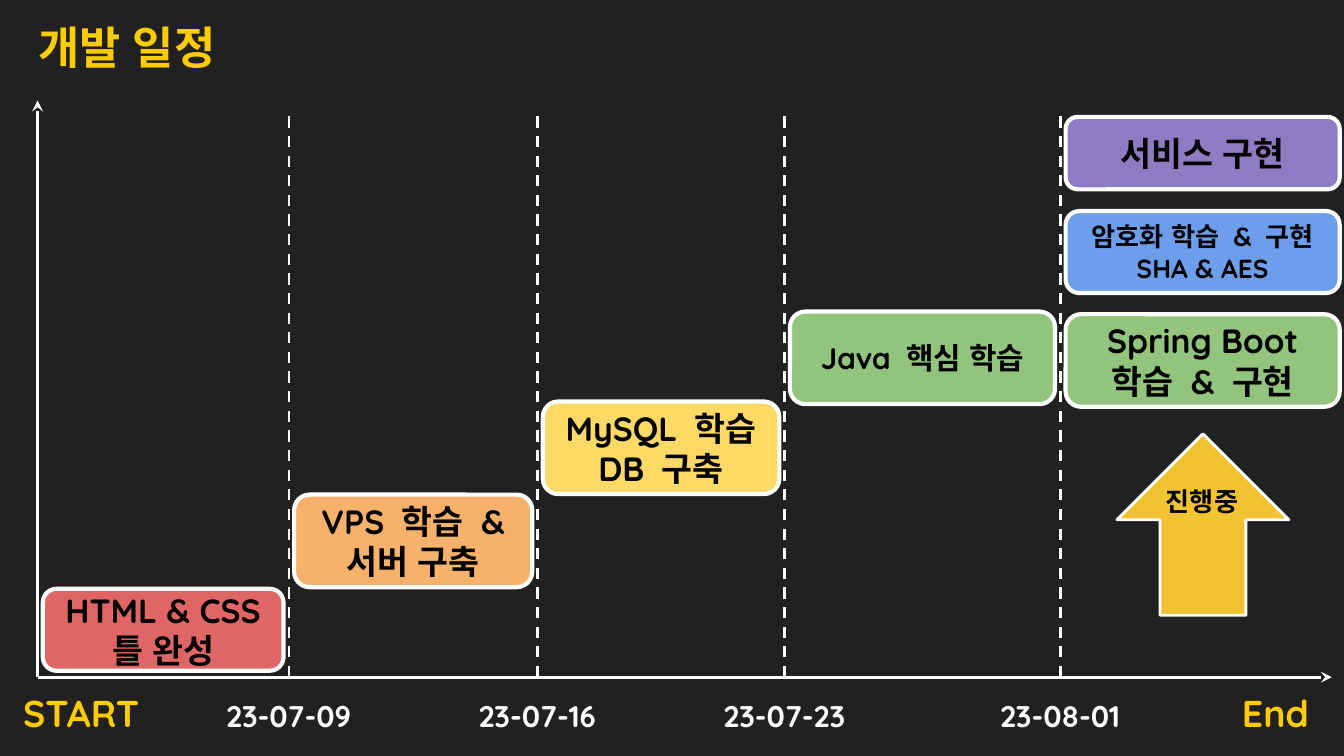
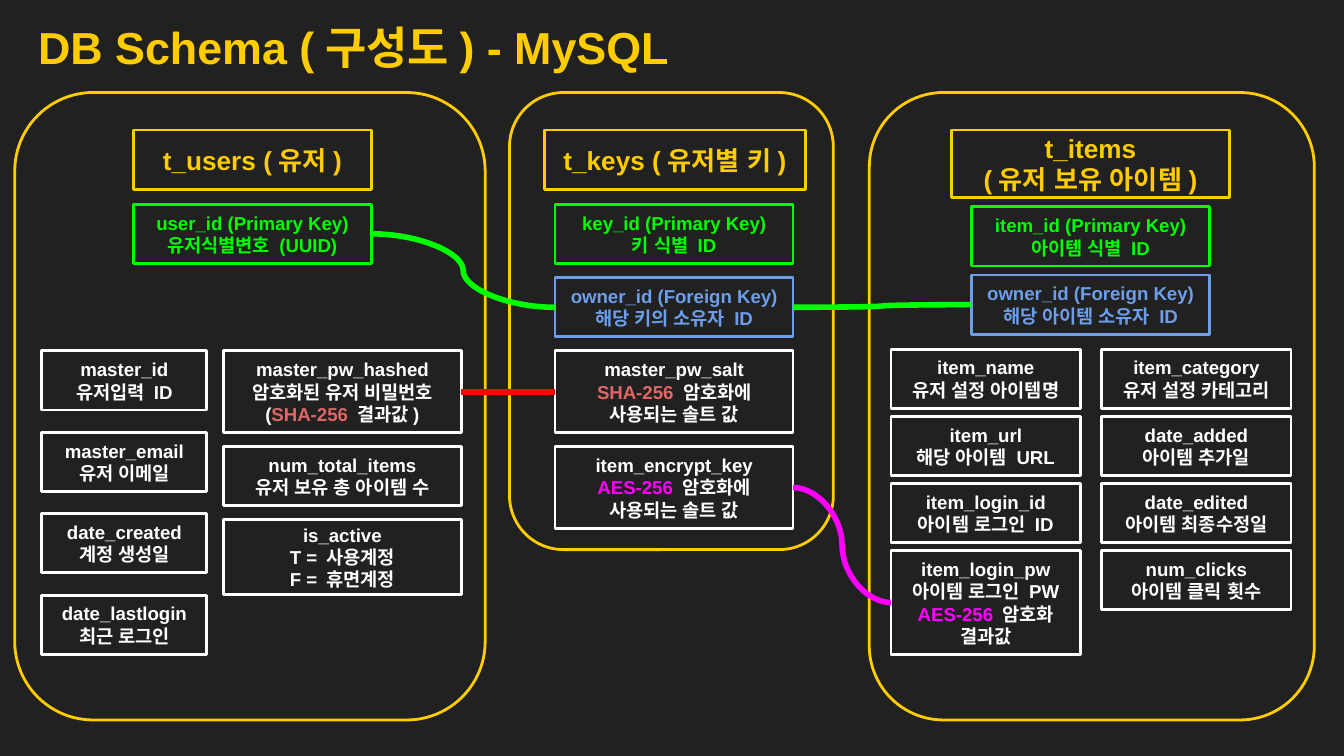
from dataclasses import dataclass

from lxml import etree
from pptx import Presentation
from pptx.dml.color import RGBColor
from pptx.enum.dml import MSO_LINE
from pptx.enum.shapes import MSO_CONNECTOR, MSO_SHAPE
from pptx.enum.text import MSO_ANCHOR, PP_ALIGN
from pptx.oxml.ns import qn
from pptx.util import Cm, Pt

RECTANGLE, ROUNDED = MSO_SHAPE.RECTANGLE, MSO_SHAPE.ROUNDED_RECTANGLE
UP_ARROW = MSO_SHAPE.UP_ARROW
STRAIGHT, CURVE = MSO_CONNECTOR.STRAIGHT, MSO_CONNECTOR.CURVE
DASH = MSO_LINE.DASH
TOP, MIDDLE = MSO_ANCHOR.TOP, MSO_ANCHOR.MIDDLE
LEFT, CENTER = PP_ALIGN.LEFT, PP_ALIGN.CENTER
LEFT_SIDE, RIGHT_SIDE = 1, 3


@dataclass(frozen=True)
class Theme:
    background: str = "212121"
    accent: str = "FFCC00"
    white: str = "FFFFFF"
    black: str = "000000"
    red: str = "E06666"
    orange: str = "F6B26B"
    yellow: str = "FFD966"
    gold: str = "F1C232"
    green: str = "93C47D"
    blue: str = "6D9EEB"
    purple: str = "8E7CC3"
    primary_key: str = "00FF00"
    hash_link: str = "FF0000"
    cipher: str = "FF00FF"
    body_font: str = "Arial"
    schedule_font: str = "Quicksand"
    title_size: float = 24
    end_size: float = 20
    large_size: float = 18
    date_size: float = 16
    medium_size: float = 14
    field_size: float = 10
    thin: float = 1.5
    medium: float = 2.25
    thick: float = 3


THEME = Theme()


@dataclass(frozen=True)
class Box:
    """A rectangle on the slide, in centimetres."""
    left: float
    top: float
    width: float
    height: float

    def inside(self, left, top, width, height):
        """Return a box whose position is measured from this one's corner."""
        return Box(self.left + left, self.top + top, width, height)

    def lengths(self):
        return Cm(self.left), Cm(self.top), Cm(self.width), Cm(self.height)


@dataclass(frozen=True)
class Column:
    """Fields stacked downwards with equal gaps; each is (height, colour, lines)."""
    left: float
    width: float
    top: float
    gap: float
    fields: list


SLIDE = Box(0, 0, 25.4, 14.29)
TITLE = SLIDE.inside(0, 0, 25.4, 1.75)
TIMELINE = SLIDE.inside(0.71, 1.9, 24.46, 10.9)
FIELD_HEIGHT = 1.12

# Timeline column, top, height, fill, text size, lines
TASKS = [
    (0, 9.23, 1.55, THEME.red, THEME.large_size, ["HTML & CSS", "틀 완성"]),
    (1, 7.45, 1.75, THEME.orange, THEME.large_size, ["VPS 학습 & 서버 구축"]),
    (2, 5.69, 1.75, THEME.yellow, THEME.large_size, ["MySQL 학습", "DB 구축"]),
    (3, 3.99, 1.75, THEME.green, THEME.date_size, ["Java 핵심 학습"]),
    (4, 4.04, 1.75, THEME.green, THEME.large_size, ["Spring Boot 학습 & 구현"]),
    (4, 2.09, 1.55, THEME.blue, THEME.medium_size, ["암호화 학습 & 구현", "SHA & AES"]),
    (4, 0.31, 1.37, THEME.purple, THEME.large_size, ["서비스 구현"]),
]
COLUMN_EDGES = [0, 4.75, 9.45, 14.12, 19.33, 24.71]
DATES = ["23-07-09", "23-07-16", "23-07-23", "23-08-01"]


def rgb(colour):
    return RGBColor.from_string(colour)


def write_text(shape, lines, *, size, colour, font=THEME.body_font,
               align=CENTER, anchor=MIDDLE, indent=0):
    """Fill a shape; a line is a string or a list of (text, colour) runs."""
    frame = shape.text_frame
    frame.word_wrap = True
    frame.vertical_anchor = anchor
    frame.margin_top = frame.margin_right = frame.margin_bottom = Cm(0.25)
    frame.margin_left = Cm(0.25 + indent)
    for index, line in enumerate(lines):
        paragraph = frame.paragraphs[0] if index == 0 else frame.add_paragraph()
        paragraph.alignment = align
        for text, run_colour in [(line, colour)] if isinstance(line, str) else line:
            run = paragraph.add_run()
            run.text = text
            run.font.size = Pt(size)
            run.font.bold = True
            run.font.name = font
            run.font.color.rgb = rgb(run_colour)
            properties = run.font.language_id and None
            properties = run._r.get_or_add_rPr()
            etree.SubElement(properties, qn("a:ea")).set("typeface", font)


def add_label(slide, box, lines, **text_format):
    write_text(slide.shapes.add_textbox(*box.lengths()), lines, **text_format)


def add_block(slide, kind, box, *, outline, width=THEME.thin, fill=None):
    shape = slide.shapes.add_shape(kind, *box.lengths())
    shape.shadow.inherit = False
    if fill:
        shape.fill.solid()
        shape.fill.fore_color.rgb = rgb(fill)
    else:
        shape.fill.background()
    shape.line.color.rgb = rgb(outline)
    shape.line.width = Pt(width)
    return shape


def add_line(slide, start, end, *, kind=STRAIGHT, colour=THEME.white,
             width=THEME.thin, dash=None, arrow=False):
    connector = slide.shapes.add_connector(kind, *(Cm(value) for value in (*start, *end)))
    etree.SubElement(connector._element.spPr, qn("a:effectLst"))
    connector.line.color.rgb = rgb(colour)
    connector.line.width = Pt(width)
    if dash:
        connector.line.dash_style = dash
    if arrow:
        outline = connector.line._get_or_add_ln()
        etree.SubElement(outline, qn("a:tailEnd")).set("type", "stealth")
    return connector


def add_titled_slide(presentation, title):
    slide = presentation.slides.add_slide(presentation.slide_layouts[6])
    slide.background.fill.solid()
    slide.background.fill.fore_color.rgb = rgb(THEME.background)
    add_label(slide, TITLE, [title], size=THEME.title_size, colour=THEME.accent,
              align=LEFT, indent=0.47)
    return slide


def draw_axes(slide, box):
    bottom = box.top + box.height
    origin = (box.left, bottom)
    add_line(slide, origin, (box.left, box.top), arrow=True)
    add_line(slide, origin, (box.left + box.width, bottom), arrow=True)
    for edge, date in zip(COLUMN_EDGES[1:], DATES):
        x = box.left + edge
        add_line(slide, (x, box.top + 0.3), (x, bottom), dash=DASH)
        add_label(slide, box.inside(edge - 1.63, box.height + 0.13, 3.25, 1.19), [date],
                  size=THEME.date_size, colour=THEME.white,
                  font=THEME.schedule_font, anchor=TOP)
    for text, left, width in [("START", -0.71, 3.07), ("End", 22.1, 2.59)]:
        add_label(slide, box.inside(left, box.height, width, 1.37), [text],
                  size=THEME.end_size, colour=THEME.accent,
                  font=THEME.schedule_font, anchor=TOP)


def draw_tasks(slide, box, gap=0.1):
    for column, top, height, fill, size, lines in TASKS:
        left, right = COLUMN_EDGES[column:column + 2]
        task = add_block(slide, ROUNDED,
                         box.inside(left + gap, top, right - left - 2 * gap, height),
                         outline=THEME.white, width=THEME.medium, fill=fill)
        write_text(task, lines, size=size, colour=THEME.black, font=THEME.schedule_font)


def draw_progress_arrow(slide, box):
    add_block(slide, UP_ARROW, box, outline=THEME.white, fill=THEME.gold)
    add_label(slide, box.inside(0.58, 0.84, 2.06, 0.86), ["진행중"],
              size=THEME.medium_size, colour=THEME.black)


def build_schedule(presentation):
    slide = add_titled_slide(presentation, "개발 일정")
    draw_axes(slide, TIMELINE)
    draw_tasks(slide, TIMELINE)
    draw_progress_arrow(slide, TIMELINE.inside(20.4, 6.3, 3.25, 3.43))


def plain(*lines, height=FIELD_HEIGHT):
    return height, THEME.white, lines


def primary(*lines):
    return FIELD_HEIGHT, THEME.primary_key, lines


def foreign(*lines):
    return FIELD_HEIGHT, THEME.blue, lines


def draw_table_panel(slide, box, heading, heading_box, columns):
    """Draw one database table and return its field shapes by field name."""
    add_block(slide, ROUNDED, box, outline=THEME.accent)
    header = add_block(slide, RECTANGLE, box.inside(*heading_box), outline=THEME.accent)
    write_text(header, heading, size=THEME.medium_size, colour=THEME.accent)
    shapes = {}
    for column in columns:
        top = column.top
        for height, colour, lines in column.fields:
            field = add_block(slide, RECTANGLE,
                              box.inside(column.left, top, column.width, height),
                              outline=colour)
            write_text(field, lines, size=THEME.field_size, colour=colour)
            shapes[lines[0]] = field
            top += height + column.gap
    return shapes


def draw_users(slide, box):
    hashed = [("(", THEME.white), ("SHA-256", THEME.red), (" 결과값)", THEME.white)]
    return draw_table_panel(slide, box, ["t_users (유저)"], (2.24, 0.71, 4.5, 1.12), [
        Column(2.24, 4.5, 2.11, 0, [primary("user_id (Primary Key)", "유저식별변호 (UUID)")]),
        Column(0.51, 3.12, 4.88, 0.42, [
            plain("master_id", "유저입력 ID"),
            plain("master_email", "유저 이메일"),
            plain("date_created", "계정 생성일"),
            plain("date_lastlogin", "최근 로그인"),
        ]),
        Column(3.94, 4.5, 4.88, 0.26, [
            plain("master_pw_hashed", "암호화된 유저 비밀번호", hashed, height=1.55),
            plain("num_total_items", "유저 보유 총 아이템 수"),
            plain("is_active", "T = 사용계정", "F = 휴면계정", height=1.42),
        ]),
    ])


def draw_keys(slide, box):
    usage = (" 암호화에 사용되는 솔트 값", THEME.white)
    return draw_table_panel(slide, box, ["t_keys (유저별 키)"], (0.66, 0.71, 4.93, 1.12), [
        Column(0.86, 4.5, 2.12, 0.26, [
            primary("key_id (Primary Key)", "키 식별 ID"),
            foreign("owner_id (Foreign Key)", "해당 키의 소유자 ID"),
            plain("master_pw_salt", [("SHA-256", THEME.red), usage], height=1.55),
            plain("item_encrypt_key", [("AES-256", THEME.cipher), usage], height=1.55),
        ]),
    ])


def draw_items(slide, box):
    encrypted = [("AES-256", THEME.cipher), (" 암호화 결과값", THEME.white)]
    heading = ["t_items", "(유저 보유 아이템)"]
    return draw_table_panel(slide, box, heading, (1.55, 0.71, 5.26, 1.27), [
        Column(1.93, 4.5, 2.16, 0.17, [
            primary("item_id (Primary Key)", "아이템 식별 ID"),
            foreign("owner_id (Foreign Key)", "해당 아이템 소유자 ID"),
        ]),
        Column(0.41, 3.58, 4.85, 0.15, [
            plain("item_name", "유저 설정 아이템명"),
            plain("item_url", "해당 아이템 URL"),
            plain("item_login_id", "아이템 로그인 ID"),
            plain("item_login_pw", "아이템 로그인 PW", encrypted, height=1.96),
        ]),
        Column(4.39, 3.58, 4.85, 0.15, [
            plain("item_category", "유저 설정 카테고리"),
            plain("date_added", "아이템 추가일"),
            plain("date_edited", "아이템 최종수정일"),
            plain("num_clicks", "아이템 클릭 횟수"),
        ]),
    ])


def link_fields(slide, source, target, colour):
    connector = add_line(slide, (0, 0), (0, 0), kind=CURVE, colour=colour, width=THEME.thick)
    connector.begin_connect(source, RIGHT_SIDE)
    connector.end_connect(target, LEFT_SIDE)


def build_schema(presentation):
    slide = add_titled_slide(presentation, "DB Schema (구성도) - MySQL")
    users = draw_users(slide, SLIDE.inside(0.28, 1.75, 8.89, 11.86))
    keys = draw_keys(slide, SLIDE.inside(9.63, 1.75, 6.12, 8.64))
    items = draw_items(slide, SLIDE.inside(16.43, 1.75, 8.41, 11.86))
    owner = "owner_id (Foreign Key)"
    for source, target, colour in [
        (users["user_id (Primary Key)"], keys[owner], THEME.primary_key),
        (keys[owner], items[owner], THEME.primary_key),
        (users["master_pw_hashed"], keys["master_pw_salt"], THEME.hash_link),
        (keys["item_encrypt_key"], items["item_login_pw"], THEME.cipher),
    ]:
        link_fields(slide, source, target, colour)


def main():
    presentation = Presentation()
    presentation.slide_width = Cm(SLIDE.width)
    presentation.slide_height = Cm(SLIDE.height)
    build_schedule(presentation)
    build_schema(presentation)
    presentation.save("out.pptx")


if __name__ == "__main__":
    main()
